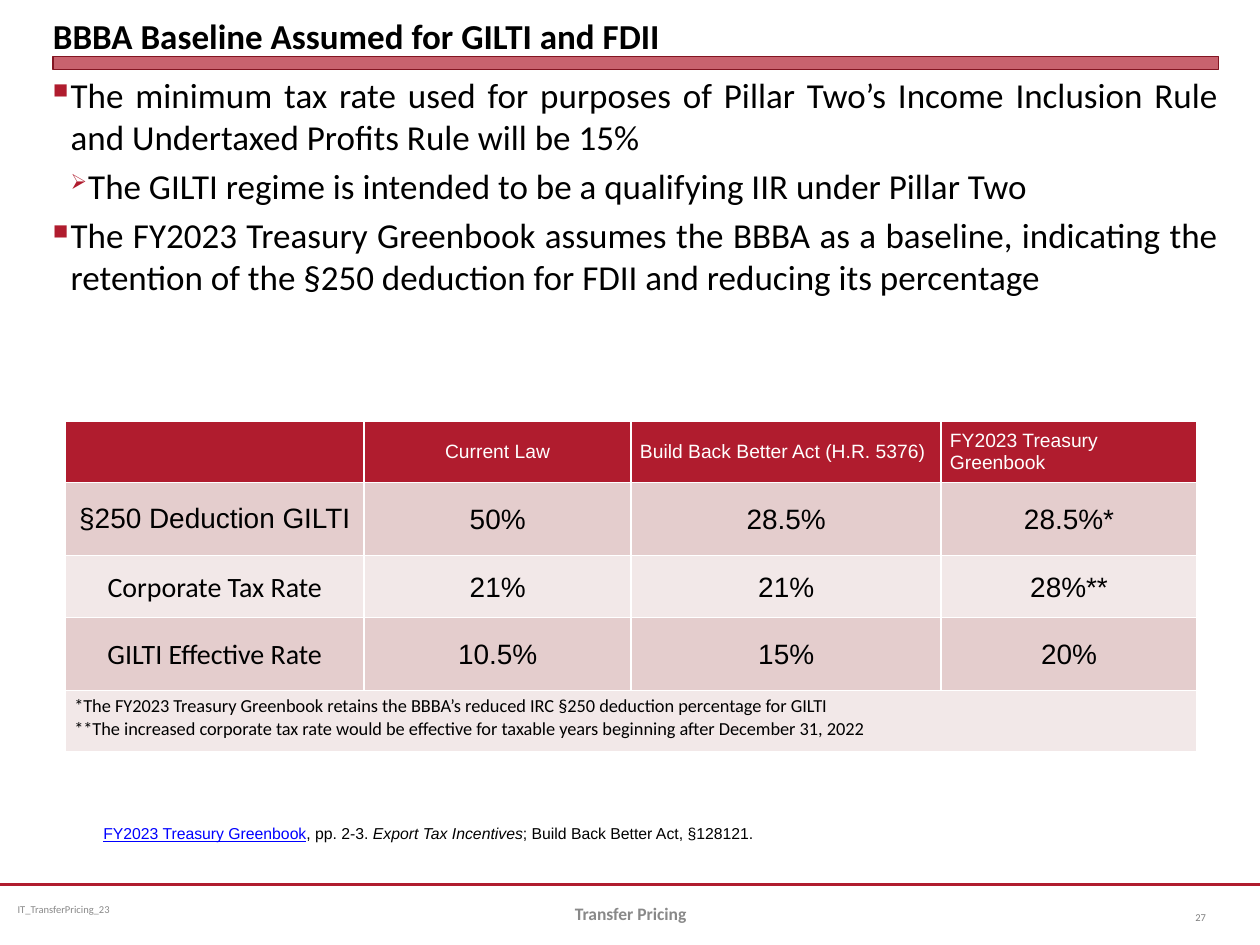
from lxml import etree
from pptx import Presentation
from pptx.dml.color import RGBColor
from pptx.enum.shapes import MSO_CONNECTOR, MSO_SHAPE
from pptx.enum.text import MSO_ANCHOR as ANCHOR, PP_ALIGN as ALIGN
from pptx.oxml.ns import qn
from pptx.util import Inches, Pt

RED = RGBColor(0xB0, 0x1C, 0x2E)
DARK_RED = RGBColor(0x82, 0x15, 0x22)
ROSE = RGBColor(0xE4, 0xCD, 0xCD)
PALE = RGBColor(0xF2, 0xE8, 0xE8)
WHITE = RGBColor(0xFF, 0xFF, 0xFF)
BLACK = RGBColor(0, 0, 0)
BLUE = RGBColor(0, 0, 0xFF)
GRAY = RGBColor(0x89, 0x89, 0x89)
PAGE_GRAY = RGBColor(0x80, 0x80, 0x80)

BULLETS = [
    (0, "The minimum tax rate used for purposes of Pillar Two’s Income Inclusion Rule "
        "and Undertaxed Profits Rule will be 15%"),
    (1, "The GILTI regime is intended to be a qualifying IIR under Pillar Two"),
    (0, "The FY2023 Treasury Greenbook assumes the BBBA as a baseline, indicating the "
        "retention of the §250 deduction for FDII and reducing its percentage"),
]
HEADERS = ["", "Current Law", "Build Back Better Act (H.R. 5376)", "FY2023 Treasury Greenbook"]
RATES = [
    ["§250 Deduction GILTI", "50%", "28.5%", "28.5%*"],
    ["Corporate Tax Rate", "21%", "21%", "28%**"],
    ["GILTI Effective Rate", "10.5%", "15%", "20%"],
]
NOTES = [
    "*The FY2023 Treasury Greenbook retains the BBBA’s reduced IRC §250 deduction percentage for GILTI",
    "**The increased corporate tax rate would be effective for taxable years beginning after December 31, 2022",
]


def add_run(p, text, size, color=BLACK, font="Calibri", bold=False, italic=False, underline=False):
    """Append one formatted run to a paragraph."""
    r = p.add_run()
    r.text = text
    f = r.font
    f.name, f.size, f.bold, f.italic, f.underline = font, Pt(size), bold, italic, underline
    f.color.rgb = color


def set_margins(frame, x, y):
    """Set equal side margins and equal top and bottom margins, in inches."""
    frame.margin_left = frame.margin_right = Inches(x)
    frame.margin_top = frame.margin_bottom = Inches(y)


def add_box(s, box, anchor=ANCHOR.TOP, margins=(0, 0)):
    """Add a wrapping text box and return its text frame."""
    tf = s.shapes.add_textbox(*map(Inches, box)).text_frame
    tf.word_wrap = True
    tf.vertical_anchor = anchor
    set_margins(tf, *margins)
    return tf


def add_bullet(p, level):
    """Give a paragraph the hanging red bullet of its level."""
    pPr = p._p.get_or_add_pPr()
    pPr.set("marL", str(Inches(0.14 * (level + 1))))
    pPr.set("indent", str(Inches(-0.14)))
    color = etree.SubElement(pPr, qn("a:buClr"))
    etree.SubElement(color, qn("a:srgbClr"), val=str(RED))
    etree.SubElement(pPr, qn("a:buSzPct"), val="60000")
    etree.SubElement(pPr, qn("a:buChar"), char="■➢"[level])


def add_title(s, box):
    """Place the title above its translucent red bar."""
    x, y, w, h = box
    tf = add_box(s, (x, y, w, h - 0.1), ANCHOR.BOTTOM)
    add_run(tf.paragraphs[0], "BBBA Baseline Assumed for GILTI and FDII", 20, bold=True)
    bar = s.shapes.add_shape(MSO_SHAPE.RECTANGLE, *map(Inches, (x, y + h - 0.1, w, 0.1)))
    bar.shadow.inherit = False
    bar.fill.solid()
    bar.fill.fore_color.rgb = RED
    fill_color = bar._element.spPr.find(qn("a:solidFill"))[0]
    etree.SubElement(fill_color, qn("a:alpha"), val="69000")
    bar.line.color.rgb = DARK_RED
    bar.line.width = Pt(0)


def add_body(s, box):
    """Place the justified bullet list."""
    tf = add_box(s, box)
    for i, (level, text) in enumerate(BULLETS):
        p = tf.add_paragraph() if i else tf.paragraphs[0]
        p.level = level
        p.alignment = ALIGN.JUSTIFY
        if i:
            p.space_before = Pt(4)
        add_bullet(p, level)
        add_run(p, text, 20)


def style_cell(cell, color, margins=(0.07, 0.04)):
    """Set the fill, margins and white borders of a cell."""
    set_margins(cell, *margins)
    tcPr = cell._tc.get_or_add_tcPr()
    for side in ("a:lnL", "a:lnR", "a:lnT", "a:lnB"):
        ln = etree.SubElement(tcPr, qn(side), w=str(Pt(1)))
        fill = etree.SubElement(ln, qn("a:solidFill"))
        etree.SubElement(fill, qn("a:srgbClr"), val=str(WHITE))
    cell.fill.solid()
    cell.fill.fore_color.rgb = color


def add_rate_table(s, box):
    """Place the comparison of rates with its merged row of notes."""
    table = s.shapes.add_table(5, 4, *map(Inches, box)).table
    for col, w in zip(table.columns, (2.37, 2.12, 2.46, 2.03)):
        col.width = Inches(w)
    for row, h in zip(table.rows, (0.49, 0.58, 0.49, 0.58, 0.49)):
        row.height = Inches(h)
    for j, text in enumerate(HEADERS):
        cell = table.cell(0, j)
        style_cell(cell, RED)
        cell.vertical_anchor = ANCHOR.MIDDLE
        if text:
            p = cell.text_frame.paragraphs[0]
            p.alignment = ALIGN.CENTER if j == 1 else ALIGN.LEFT
            add_run(p, text, 11, WHITE, "Arial")
    for i, values in enumerate(RATES, 1):
        for j, text in enumerate(values):
            cell = table.cell(i, j)
            first = (i, j) == (1, 0)
            style_cell(cell, ROSE if i % 2 else PALE, (0.07, 0.04) if first else (0.06, 0))
            cell.vertical_anchor = ANCHOR.MIDDLE
            p = cell.text_frame.paragraphs[0]
            p.alignment = ALIGN.CENTER
            if not first:
                p.line_spacing = 1.07
            add_run(p, text, 16, font="Calibri" if j == 0 and i > 1 else "Arial")
    notes = table.cell(4, 0)
    notes.merge(table.cell(4, 3))
    style_cell(notes, PALE)
    tf = notes.text_frame
    for i, text in enumerate(NOTES):
        p = tf.add_paragraph() if i else tf.paragraphs[0]
        add_run(p, text, 10.5)


def add_source(s, box):
    """Place the source line."""
    p = add_box(s, box, margins=(0.07, 0.04)).paragraphs[0]
    add_run(p, "FY2023 Treasury Greenbook", 9, BLUE, "Arial", underline=True)
    add_run(p, ", pp. 2-3. ", 9, font="Arial")
    add_run(p, "Export Tax Incentives", 9, font="Arial", italic=True)
    add_run(p, "; Build Back Better Act, §128121.", 9, font="Arial")


def add_footer(s, box):
    """Place the rule, course code, course name and page number."""
    x, y, w, h = box
    rule = s.shapes.add_connector(MSO_CONNECTOR.STRAIGHT, *map(Inches, (x, y, x + w, y)))
    rule.line.color.rgb = RED
    rule.line.width = Pt(1.25)
    etree.SubElement(rule._element.spPr, qn("a:effectLst"))
    parts = [
        ("IT_TransferPricing_23", 0.08, 0, 2.58, (0.06, 0.03), ALIGN.LEFT, 6, GRAY, False),
        ("Transfer Pricing", 3.42, 0.03, 3.17, (0.1, 0.05), ALIGN.CENTER, 10, GRAY, True),
        ("27", 9.17, 0.06, 0.5, (0.1, 0.05), ALIGN.RIGHT, 6, PAGE_GRAY, False),
    ]
    for text, dx, dy, width, margins, align, size, color, bold in parts:
        p = add_box(s, (x + dx, y + dy, width, 0.4), ANCHOR.MIDDLE, margins).paragraphs[0]
        p.alignment = align
        add_run(p, text, size, color, bold=bold)


def main():
    """Build and save the slide."""
    prs = Presentation()
    prs.slide_width, prs.slide_height = Inches(10), Inches(7.5)
    s = prs.slides.add_slide(prs.slide_layouts[6])
    add_title(s, (0.42, 0.05, 9.25, 0.5))
    add_body(s, (0.42, 0.58, 9.25, 6.36))
    add_source(s, (0.75, 6.5, 6.86, 0.23))
    add_rate_table(s, (0.52, 3.34, 8.98, 2.63))
    add_footer(s, (0, 7.02, 10, 0.48))
    prs.save("out.pptx")


if __name__ == "__main__":
    main()
